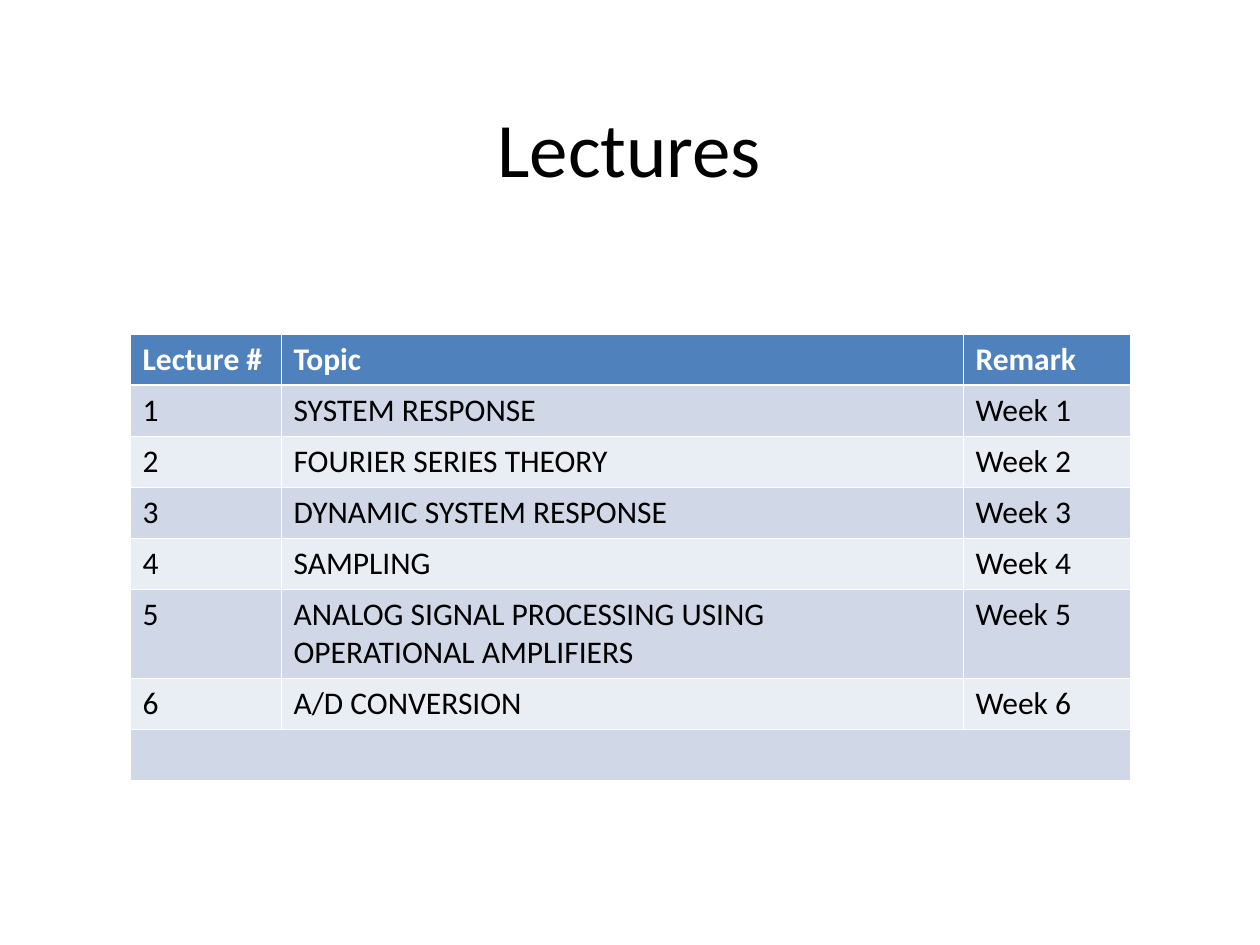
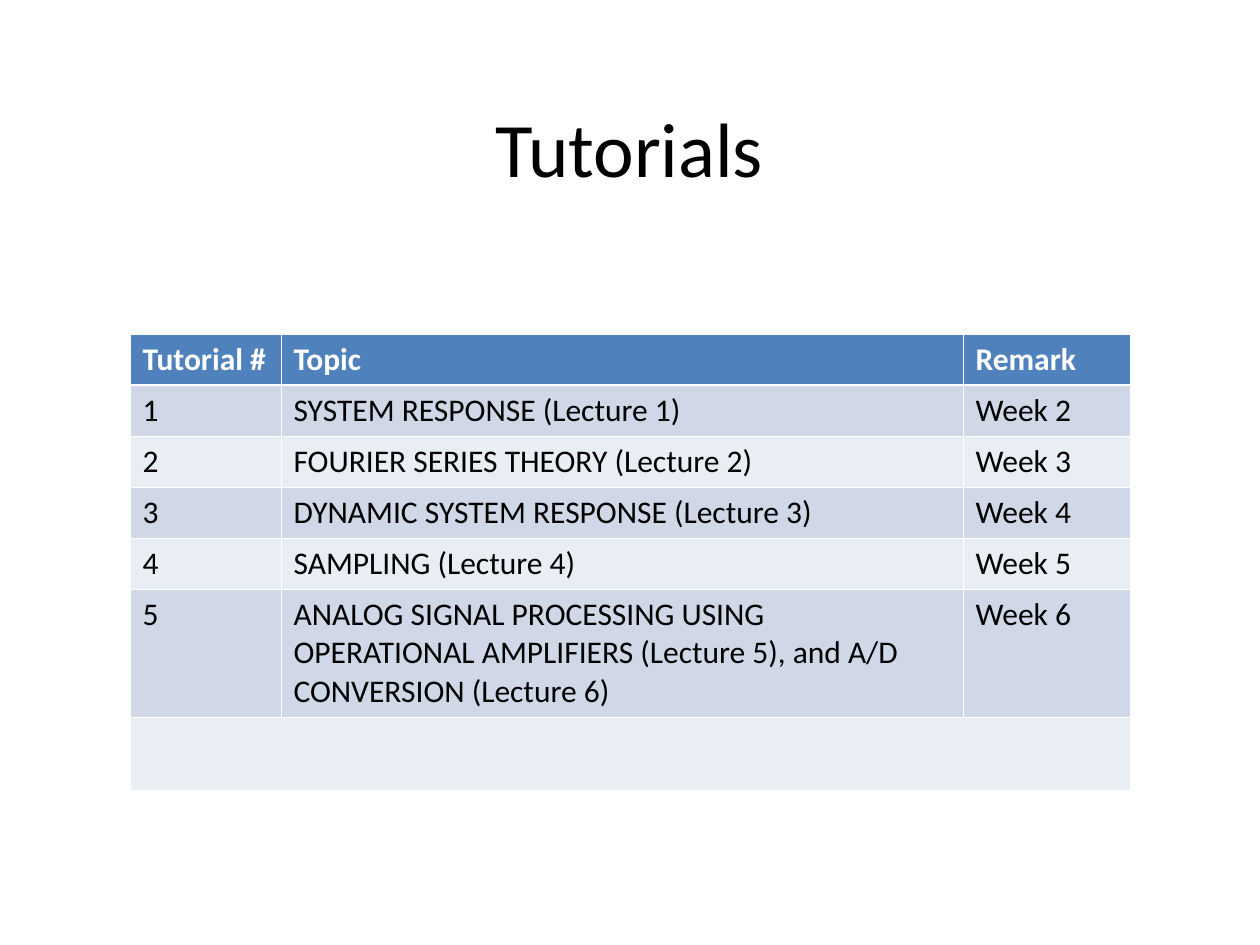
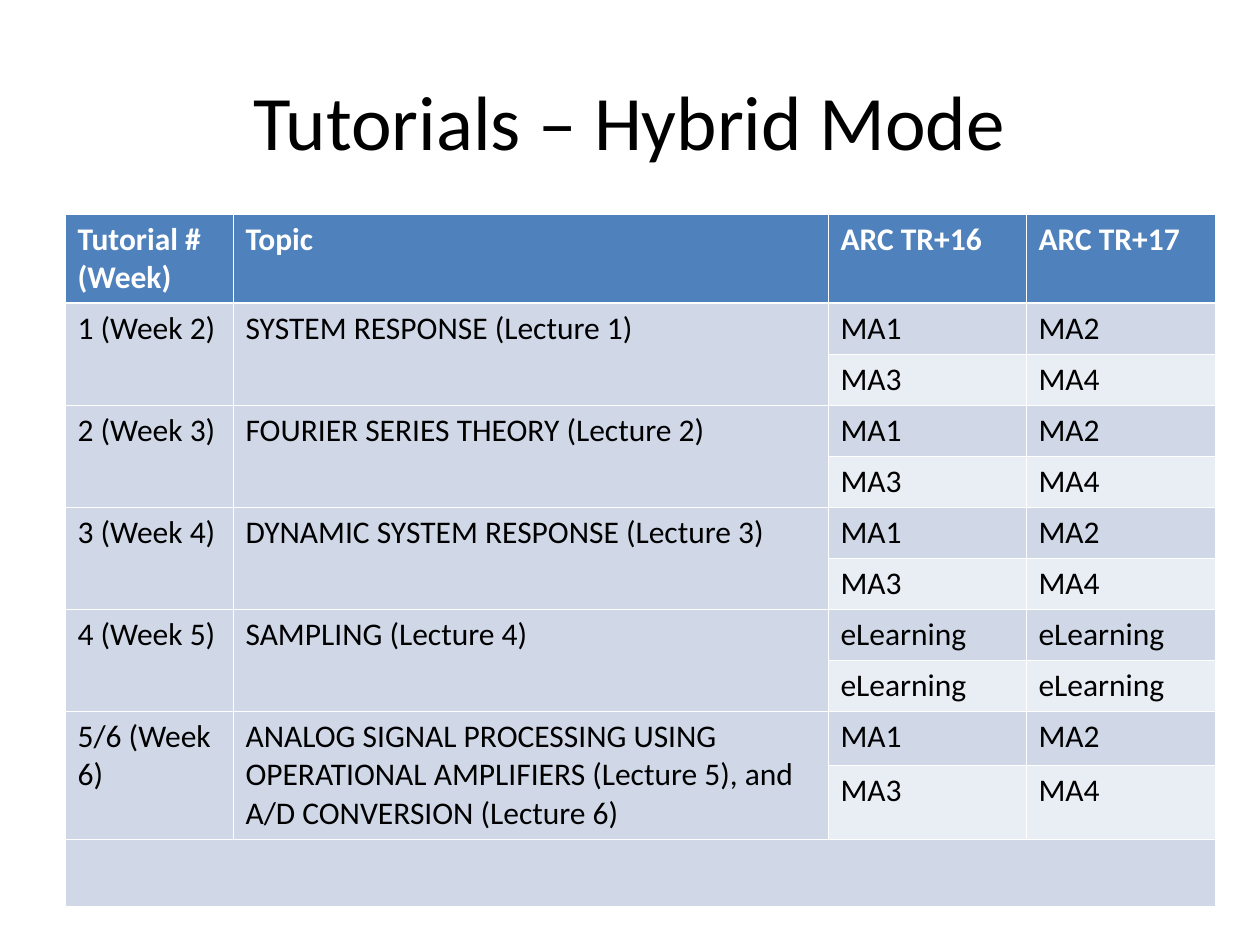
from lxml import etree
from pptx import Presentation
from pptx import util as u
from pptx.dml.color import RGBColor
from pptx.enum import text
from pptx.oxml.ns import qn

# Content: None continues the cell above
SYSTEM, FOURIER, DYNAMIC, SAMPLING, ANALOG, CONVERSION = (
    "SYSTEM RESPONSE",
    "FOURIER SERIES THEORY",
    "DYNAMIC SYSTEM RESPONSE",
    "SAMPLING",
    "ANALOG SIGNAL PROCESSING USING OPERATIONAL AMPLIFIERS",
    "A/D CONVERSION",
)
LECTURE_TOPICS = [SYSTEM, FOURIER, DYNAMIC, SAMPLING, ANALOG, CONVERSION]
TUTORIAL_TOPICS = [
    f"{topic} (Lecture {number})" for number, topic in enumerate(LECTURE_TOPICS[:4], 1)
] + [f"{ANALOG} (Lecture 5), and {CONVERSION} (Lecture 6)"]

GROUPS = [("MA1", "MA2"), ("MA3", "MA4")]
ONLINE = [("eLearning", "eLearning")] * 2
HYBRID_TUTORIALS = [
    ("1 (Week 2)", GROUPS),
    ("2 (Week 3)", GROUPS),
    ("3 (Week 4)", GROUPS),
    ("4 (Week 5)", ONLINE),
    ("5/6 (Week 6)", GROUPS),
]

lecture_rows = [
    (str(number), topic, f"Week {number}")
    for number, topic in enumerate(LECTURE_TOPICS, 1)
]
tutorial_rows = [
    (str(number), topic, f"Week {number + 1}")
    for number, topic in enumerate(TUTORIAL_TOPICS, 1)
]
hybrid_rows = []
for (label, (first, second)), topic in zip(HYBRID_TUTORIALS, TUTORIAL_TOPICS):
    hybrid_rows += [(label, topic, *first), (None, None, *second)]

# Layout in px; a row is as tall as its lines of text
SCALE = 914400 / 126
SLIDE_SIZE = (1260, 945)
TITLE_LEFT, TITLE_TOP, TITLE_WIDTH = 94, 45, 1071
ONE_LINE, TWO_LINES, THREE_LINES = 51, 89, 128
COURSE_TABLE = {
    "title_height": 203, "origin": (130, 334), "columns": [151, 682, 167],
}

SLIDES = [
    {
        **COURSE_TABLE,
        "title": "Lectures",
        "header": ("Lecture #", "Topic", "Remark"),
        "rows": lecture_rows,
        "heights": [ONE_LINE] * 5 + [TWO_LINES] + [ONE_LINE] * 2,
    },
    {
        **COURSE_TABLE,
        "title": "Tutorials",
        "header": ("Tutorial #", "Topic", "Remark"),
        "rows": tutorial_rows,
        "heights": [ONE_LINE] * 5 + [THREE_LINES, 73],
    },
    {
        "title": "Tutorials – Hybrid Mode",
        "title_height": 149,
        "origin": (65, 214),
        "columns": [168, 595, 198, 189],
        "header": ("Tutorial # (Week)", "Topic", "ARC TR+16", "ARC TR+17"),
        "rows": hybrid_rows,
        "heights": [TWO_LINES] + [ONE_LINE] * 8 + [54, THREE_LINES - 54, 67],
    },
]

THEME = {
    "header": "4F81BD",
    "bands": ("E9EDF4", "D0D8E8"),
    "border": "FFFFFF",
    "thin": 0.45,
    "thick": 1.47,
    "title_text": ({"name": "Calibri", "size": u.Pt(44), "bold": False}, "000000"),
    "header_text": ({"name": "Calibri", "size": u.Pt(18), "bold": True}, "FFFFFF"),
    "body_text": ({"name": "Calibri", "size": u.Pt(18), "bold": False}, "000000"),
}


def px(length):
    return u.Emu(round(length * SCALE))


def write(paragraph, content, style):
    values, colour = THEME[style]
    run = paragraph.add_run()
    run.text = content
    for name, value in values.items():
        setattr(run.font, name, value)
    run.font.color.rgb = RGBColor.from_string(colour)


def add_title(slide, content, height):
    box = [px(length) for length in (TITLE_LEFT, TITLE_TOP, TITLE_WIDTH, height)]
    frame = slide.shapes.add_textbox(*box).text_frame
    frame.word_wrap = True
    frame.vertical_anchor = text.MSO_ANCHOR.MIDDLE
    paragraph = frame.paragraphs[0]
    paragraph.alignment = text.PP_ALIGN.CENTER
    write(paragraph, content, "title_text")


def add_borders(cell, row):
    """Thin lines all round, with a thick one under the header."""
    properties = cell._tc.get_or_add_tcPr()
    thick_side = {0: "lnB", 1: "lnT"}.get(row)
    for side in ("lnL", "lnR", "lnT", "lnB"):
        width = THEME["thick" if side == thick_side else "thin"]
        line = etree.SubElement(properties, qn(f"a:{side}"), w=str(u.Pt(width)))
        fill = etree.SubElement(line, qn("a:solidFill"))
        etree.SubElement(fill, qn("a:srgbClr"), val=THEME["border"])


def add_schedule(slide, content):
    columns, heights = content["columns"], content["heights"]
    blank_row = ("",) * len(columns)
    rows = [content["header"], *content["rows"], blank_row]
    left, top = content["origin"]
    table = slide.shapes.add_table(
        len(rows), len(columns),
        px(left), px(top), px(sum(columns)), px(sum(heights)),
    ).table
    table.horz_banding = False
    for column, width in zip(table.columns, columns):
        column.width = px(width)
    for table_row, height in zip(table.rows, heights):
        table_row.height = px(height)

    # Cells
    for row, values in enumerate(rows):
        colour = THEME["bands"][row % 2] if row else THEME["header"]
        for column, value in enumerate(values):
            cell = table.cell(row, column)
            add_borders(cell, row)
            cell.fill.solid()
            cell.fill.fore_color.rgb = RGBColor.from_string(colour)
            if value is None:
                table.cell(row - 1, column).merge(cell)
            elif value:
                style = "body_text" if row else "header_text"
                write(cell.text_frame.paragraphs[0], value, style)

    # Closing row across the full width
    last = len(rows) - 1
    table.cell(last, 0).merge(table.cell(last, len(columns) - 1))


def main():
    presentation = Presentation()
    presentation.slide_width, presentation.slide_height = map(px, SLIDE_SIZE)
    for content in SLIDES:
        slide = presentation.slides.add_slide(presentation.slide_layouts[6])
        add_title(slide, content["title"], content["title_height"])
        add_schedule(slide, content)
    presentation.save("out.pptx")


if __name__ == "__main__":
    main()
